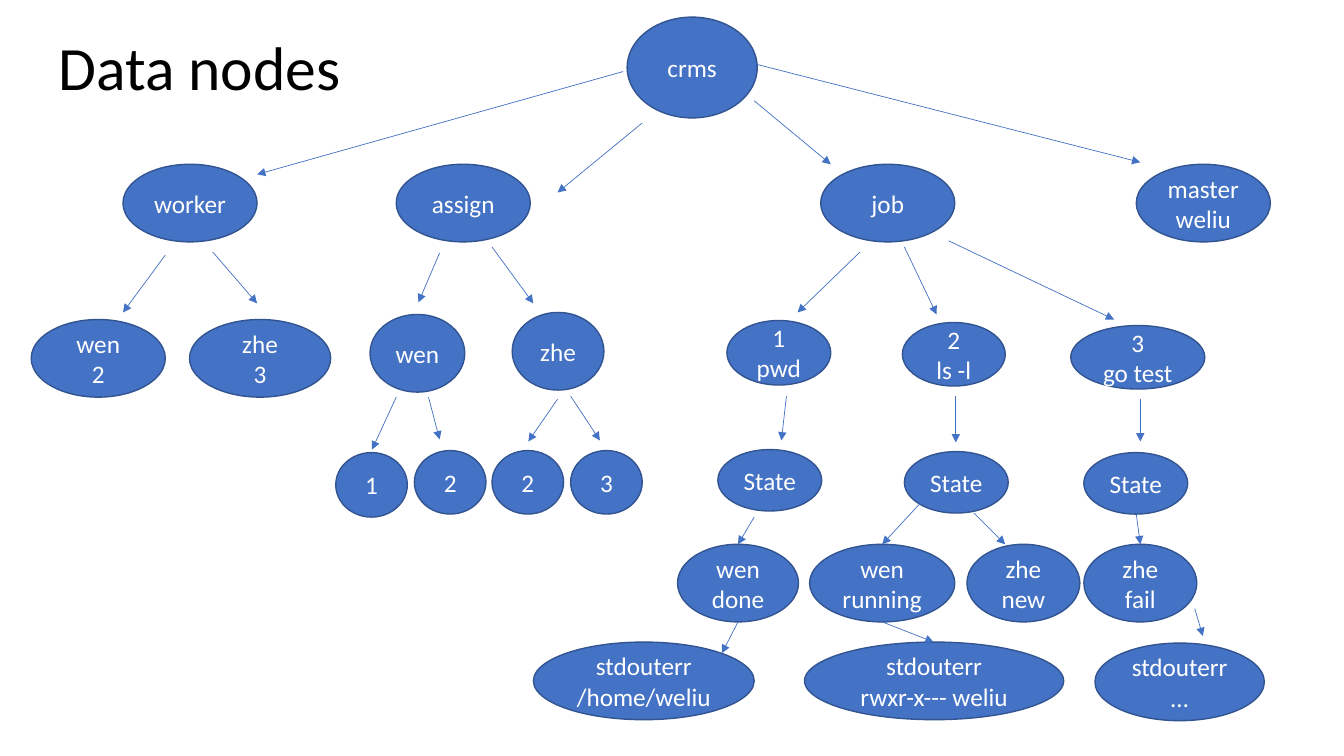
"""Build the "Data nodes" tree slide."""
from lxml.etree import SubElement
from pptx import Presentation
from pptx.dml.color import RGBColor
from pptx.enum.shapes import MSO_CONNECTOR, MSO_SHAPE
from pptx.enum.text import MSO_ANCHOR, MSO_AUTO_SIZE, PP_ALIGN
from pptx.oxml.ns import qn
from pptx.util import Inches, Pt

COLORS = {
    "node": "4472C4",
    "outline": "325491",
    "background": "FFFFFF",
    "node text": "FFFFFF",
    "title": "000000",
}
FONT = "Calibri"

NODES = [
    ("crms", 6.22, 0.17, 1.29, 1),
    ("worker", 1.22, 1.63, 1.33, 0.77),
    ("assign", 3.93, 1.63, 1.33, 0.77),
    ("job", 8.14, 1.63, 1.33, 0.77),
    ("master\nweliu", 11.27, 1.63, 1.33, 0.77),
    ("wen\n2", 0.31, 3.17, 1.33, 0.77),
    ("zhe\n3", 1.88, 3.17, 1.4, 0.77),
    ("wen", 3.67, 3.12, 0.94, 0.77),
    ("zhe", 5.08, 3.1, 0.91, 0.77),
    ("1\npwd", 7.21, 3.18, 1.03, 0.64),
    ("2\nls -l", 8.95, 3.2, 1.02, 0.63),
    ("3\ngo test", 10.62, 3.23, 1.33, 0.63),
    ("1", 3.33, 4.49, 0.71, 0.64),
    ("2", 4.11, 4.47, 0.71, 0.63),
    ("2", 4.88, 4.47, 0.71, 0.63),
    ("3", 5.66, 4.47, 0.71, 0.63),
    ("State", 7.12, 4.46, 1.03, 0.61),
    ("State", 8.97, 4.48, 1.03, 0.61),
    ("State", 10.75, 4.49, 1.03, 0.61),
    ("wen\ndone", 6.72, 5.4, 1.2, 0.77),
    ("wen\nrunning", 8.03, 5.4, 1.44, 0.77),
    ("zhe\nnew", 9.59, 5.4, 1.12, 0.77),
    ("zhe\nfail", 10.75, 5.4, 1.12, 0.77),
    ("stdouterr\n/home/weliu", 5.29, 6.37, 2.19, 0.77),
    ("stdouterr\nrwxr-x--- weliu", 7.98, 6.37, 2.57, 0.77),
    ("stdouterr\n…", 10.86, 6.38, 1.68, 0.77),
]

ARROWS = [
    (6.18, 0.71, 2.55, 1.73),
    (6.37, 1.22, 5.53, 1.91),
    (7.48, 1, 8.24, 1.63),
    (7.51, 0.64, 11.31, 1.61),
    (1.64, 2.53, 1.22, 3.1),
    (2.11, 2.5, 2.55, 3.01),
    (4.36, 2.51, 4.15, 3),
    (4.88, 2.45, 5.29, 3.01),
    (8.53, 2.5, 7.91, 3.1),
    (8.97, 2.45, 9.29, 3.12),
    (9.41, 2.39, 11.05, 3.17),
    (3.93, 3.94, 3.69, 4.46),
    (4.25, 3.94, 4.36, 4.36),
    (5.53, 3.96, 5.24, 4.38),
    (5.66, 3.93, 5.95, 4.37),
    (7.8, 3.93, 7.75, 4.37),
    (9.48, 3.93, 9.48, 4.39),
    (11.31, 3.96, 11.31, 4.38),
    (7.48, 5.13, 7.32, 5.4),
    (9.12, 5, 8.75, 5.4),
    (9.66, 5.09, 9.97, 5.4),
    (11.27, 5.1, 11.31, 5.4),
    (7.32, 6.17, 7.16, 6.48),
    (8.75, 6.17, 9.26, 6.37),
    (11.85, 6.04, 11.93, 6.31),
]


def color(name):
    return RGBColor.from_string(COLORS[name])


def format_paragraph(paragraph, size, color_name, alignment):
    paragraph.alignment = alignment
    paragraph.font.name = FONT
    paragraph.font.size = Pt(size)
    paragraph.font.color.rgb = color(color_name)


presentation = Presentation()
presentation.slide_width = Inches(13.33)
presentation.slide_height = Inches(7.5)
slide = presentation.slides.add_slide(presentation.slide_layouts[5])
slide.background.fill.solid()
slide.background.fill.fore_color.rgb = color("background")

title = slide.shapes.title
title.left, title.top = Inches(0.48), Inches(0.24)
title.width, title.height = Inches(3.03), Inches(0.84)
title.text_frame.text = "Data nodes"
title.text_frame.word_wrap = False
title.text_frame.auto_size = MSO_AUTO_SIZE.NONE
title.text_frame.vertical_anchor = MSO_ANCHOR.TOP
format_paragraph(title.text_frame.paragraphs[0], 44, "title", PP_ALIGN.LEFT)

for text, *box in NODES:
    node = slide.shapes.add_shape(MSO_SHAPE.OVAL, *map(Inches, box))
    node.shadow.inherit = False
    node.fill.solid()
    node.fill.fore_color.rgb = color("node")
    node.line.color.rgb = color("outline")
    node.line.width = Pt(1)
    frame = node.text_frame
    frame.text = text
    frame.word_wrap = True
    frame.vertical_anchor = MSO_ANCHOR.MIDDLE
    frame.margin_left = frame.margin_right = Inches(0.05)
    for paragraph in frame.paragraphs:
        format_paragraph(paragraph, 18, "node text", PP_ALIGN.CENTER)

for ends in ARROWS:
    arrow = slide.shapes.add_connector(MSO_CONNECTOR.STRAIGHT, *map(Inches, ends))
    arrow.line.color.rgb = color("node")
    arrow.line.width = Pt(0.5)
    SubElement(arrow.line._get_or_add_ln(), qn("a:tailEnd"), type="triangle")
    SubElement(arrow._element.spPr, qn("a:effectLst"))

presentation.save("out.pptx")
